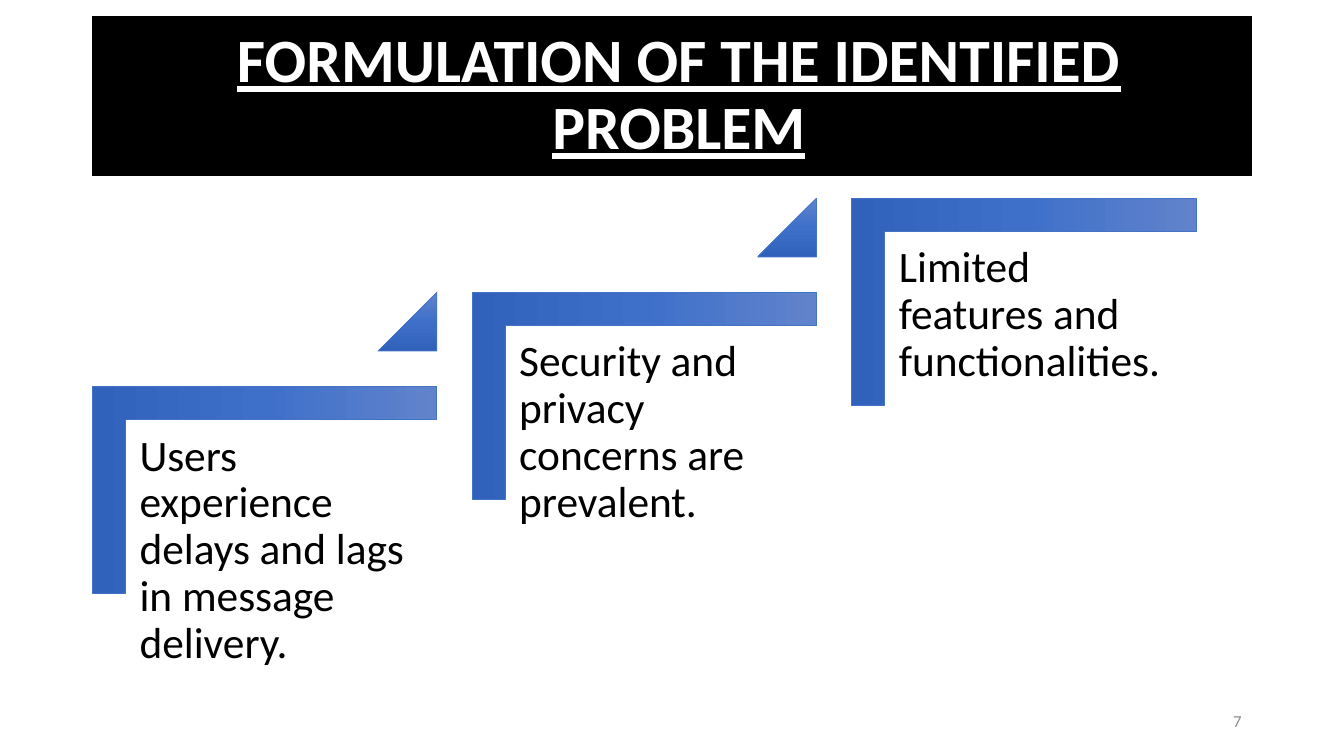
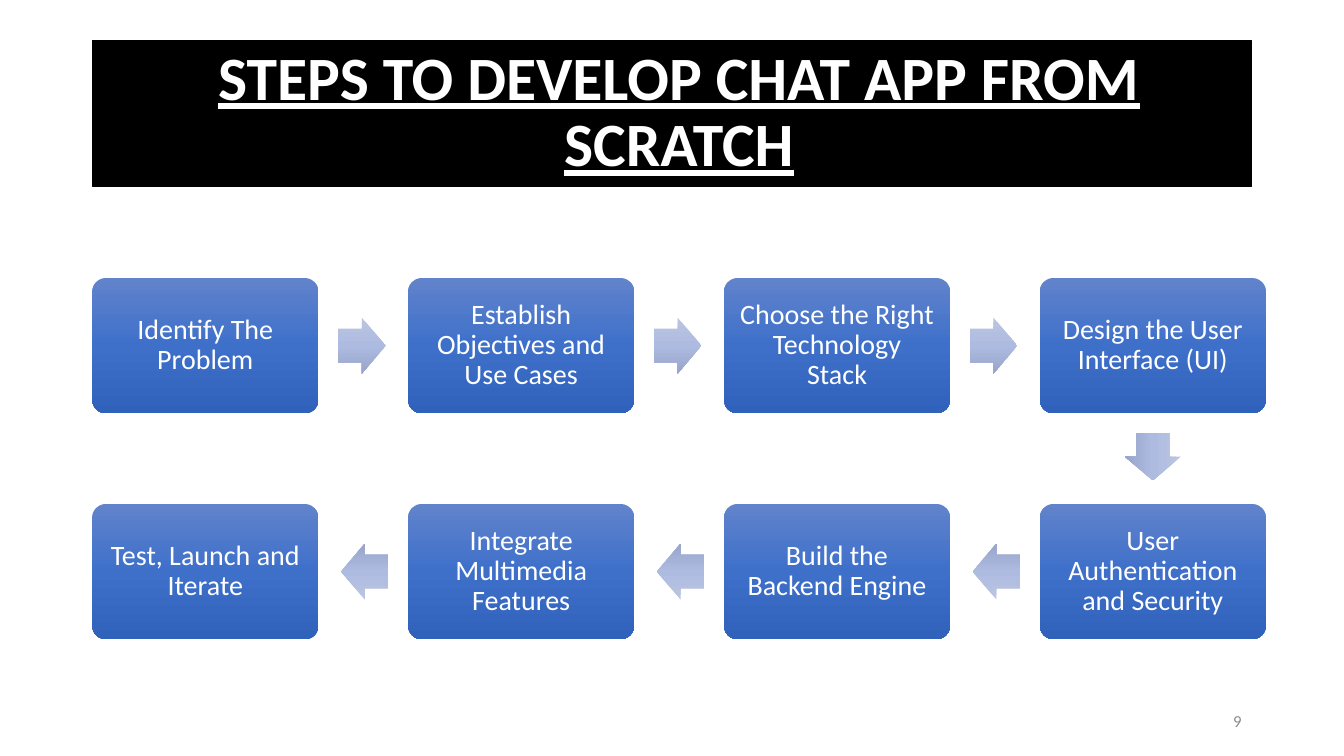
from lxml import etree
from pptx import Presentation
from pptx.dml.color import RGBColor
from pptx.enum.shapes import MSO_SHAPE as Preset
from pptx.enum.text import MSO_ANCHOR as Anchor, PP_ALIGN as Align
from pptx.oxml import parse_xml
from pptx.oxml.ns import nsdecls, qn
from pptx.util import Inches, Pt

# The slide is a grid of 160 columns by 90 rows of square cells.
COLUMNS, ROWS = 160, 90
CELL = Inches(7.5) / ROWS
MARGIN = 11
CONTENT_WIDTH = COLUMNS - 2 * MARGIN
FONT = "Calibri"

COLORS = {
    "band": "000000",
    "light_text": "FFFFFF",
    "dark_text": "000000",
    "page_number": "8C8C8C",
    "outline": "4472C4",
}
GRADIENTS = {
    "strong": {0: "6183CB", 50: "3E70CA", 100: "3062BB"},
    "pale": {0: "BBC5E3", 50: "AEBBE0", 100: "98A4CB"},
}

PROBLEMS = [
    "Users experience delays and lags in message delivery.",
    "Security and privacy concerns are prevalent.",
    "Limited features and functionalities.",
]
STEPS = [
    "Identify The Problem",
    "Establish Objectives and Use Cases",
    "Choose the Right Technology Stack",
    "Design the User Interface (UI)",
    "User Authentication and Security",
    "Build the Backend Engine",
    "Integrate Multimedia Features",
    "Test, Launch and Iterate",
]


def cells(count):
    return round(count * CELL)


def color(name):
    return RGBColor.from_string(COLORS[name])


def fill_gradient(shape, name):
    """Fill from top to bottom with the stops of a named gradient."""
    gradient = parse_xml(
        f'<a:gradFill {nsdecls("a")} rotWithShape="1"><a:gsLst/>'
        '<a:lin ang="5400000" scaled="0"/></a:gradFill>'
    )
    stops = gradient.find(qn("a:gsLst"))
    for percent, value in GRADIENTS[name].items():
        stop = etree.SubElement(stops, qn("a:gs"), pos=str(percent * 1000))
        etree.SubElement(stop, qn("a:srgbClr"), val=value)
    shape.element.spPr.find(qn("a:prstGeom")).addnext(gradient)


def add_preset(slide, preset, center, size, adjustments=(), rotation=0):
    """Add a bare preset shape around its center, measured before rotation."""
    (x, y), (width, height) = center, size
    shape = slide.shapes.add_shape(
        preset, cells(x - width / 2), cells(y - height / 2),
        cells(width), cells(height),
    )
    shape.shadow.inherit = False
    shape.line.fill.background()
    shape.rotation = rotation
    for index, value in enumerate(adjustments):
        shape.adjustments[index] = value
    return shape


def outline(shape, name, points):
    shape.line.color.rgb = color(name)
    shape.line.width = Pt(points)


def write(shape, text, size, color_name, align=Align.LEFT, anchor=Anchor.TOP,
          insets=(0.1, 0.05, 0.1, 0.05), spacing=0.9, heading=False):
    """Set one paragraph; insets are left, top, right, bottom in inches."""
    frame = shape.text_frame
    frame.word_wrap = True
    frame.vertical_anchor = anchor
    (frame.margin_left, frame.margin_top,
     frame.margin_right, frame.margin_bottom) = map(Inches, insets)
    paragraph = frame.paragraphs[0]
    paragraph.alignment = align
    paragraph.line_spacing = spacing
    run = paragraph.add_run()
    run.text = text
    run.font.name = FONT
    run.font.size = Pt(size)
    run.font.color.rgb = color(color_name)
    if heading:
        run.font.bold = run.font.underline = True


def add_text(slide, left, top, width, height, text, *style, **options):
    box = slide.shapes.add_textbox(*map(cells, (left, top, width, height)))
    write(box, text, *style, **options)


def add_titled_slide(deck, title, band_top, band_height, number):
    slide = deck.slides.add_slide(deck.slide_layouts[6])
    band = add_preset(slide, Preset.RECTANGLE,
                      (COLUMNS / 2, band_top + band_height / 2),
                      (CONTENT_WIDTH, band_height))
    band.fill.solid()
    band.fill.fore_color.rgb = color("band")
    outline(band, "band", 1)
    write(band, title, 44, "light_text", Align.CENTER, Anchor.MIDDLE,
          (0.53, 0.21, 0.39, 0.21), heading=True)
    add_text(slide, 113, 83.4, 36, 4.8, number, 12, "page_number",
             Align.RIGHT, Anchor.MIDDLE, spacing=1)
    return slide


def add_staircase(slide, problems):
    """Draw rising corner brackets, each with its text and a pointer upward."""
    width, height, bar = 41, 24.6, 4.05
    pitch, rise, pointer = 45.2, 11.2, 7
    for index, problem in enumerate(problems):
        left, top = MARGIN + index * pitch, 46 - index * rise
        bracket = add_preset(slide, Preset.CORNER,
                             (left + width / 2, top + height / 2),
                             (height, width), (0.16, 0.16), rotation=90)
        parts = [bracket]
        add_text(slide, left + bar, top + bar, width - bar, 32.3, problem,
                 31, "dark_text", insets=(0.13,) * 4)
        if index < len(problems) - 1:
            parts.append(add_preset(
                slide, Preset.ISOSCELES_TRIANGLE,
                (left + width - pointer / 2, top - rise + pointer / 2),
                (pointer, pointer), (1,)))
        for part in parts:
            fill_gradient(part, "strong")
            outline(part, "outline", 0.5)


def add_step_flow(slide, steps, per_row=4):
    """Draw steps that run right, drop a row and run back, joined by arrows."""
    width, height = 26.9, 16.1
    column_pitch, row_pitch = 37.6, 26.9
    arrow_length, arrow_width, gap = 5.65, 6.65, 2.35
    directions = {0: (1, 0), 90: (0, 1), 180: (-1, 0)}
    for index, step in enumerate(steps):
        row, place = divmod(index, per_row)
        backward = row % 2 == 1
        column = per_row - 1 - place if backward else place
        x = MARGIN + width / 2 + column * column_pitch
        y = 33.1 + height / 2 + row * row_pitch
        box = add_preset(slide, Preset.ROUNDED_RECTANGLE, (x, y),
                         (width, height), (0.1,))
        fill_gradient(box, "strong")
        write(box, step, 20, "light_text", Align.CENTER, Anchor.MIDDLE,
              (0.12,) * 4)
        if index == len(steps) - 1:
            continue
        turn = 90 if place == per_row - 1 else 180 * backward
        across, down = directions[turn]
        reach = gap + arrow_length / 2
        arrow = add_preset(
            slide, Preset.RIGHT_ARROW,
            (x + across * (width / 2 + reach), y + down * (height / 2 + reach)),
            (arrow_length, arrow_width), (0.6, 0.5), turn)
        fill_gradient(arrow, "pale")


def main():
    deck = Presentation()
    deck.slide_width, deck.slide_height = cells(COLUMNS), cells(ROWS)
    add_staircase(
        add_titled_slide(deck, "FORMULATION OF THE IDENTIFIED PROBLEM",
                         2, 18.9, "7"),
        PROBLEMS)
    add_step_flow(
        add_titled_slide(deck, "STEPS TO DEVELOP CHAT APP FROM SCRATCH",
                         4.8, 17.4, "9"),
        STEPS)
    deck.save("out.pptx")


if __name__ == "__main__":
    main()
